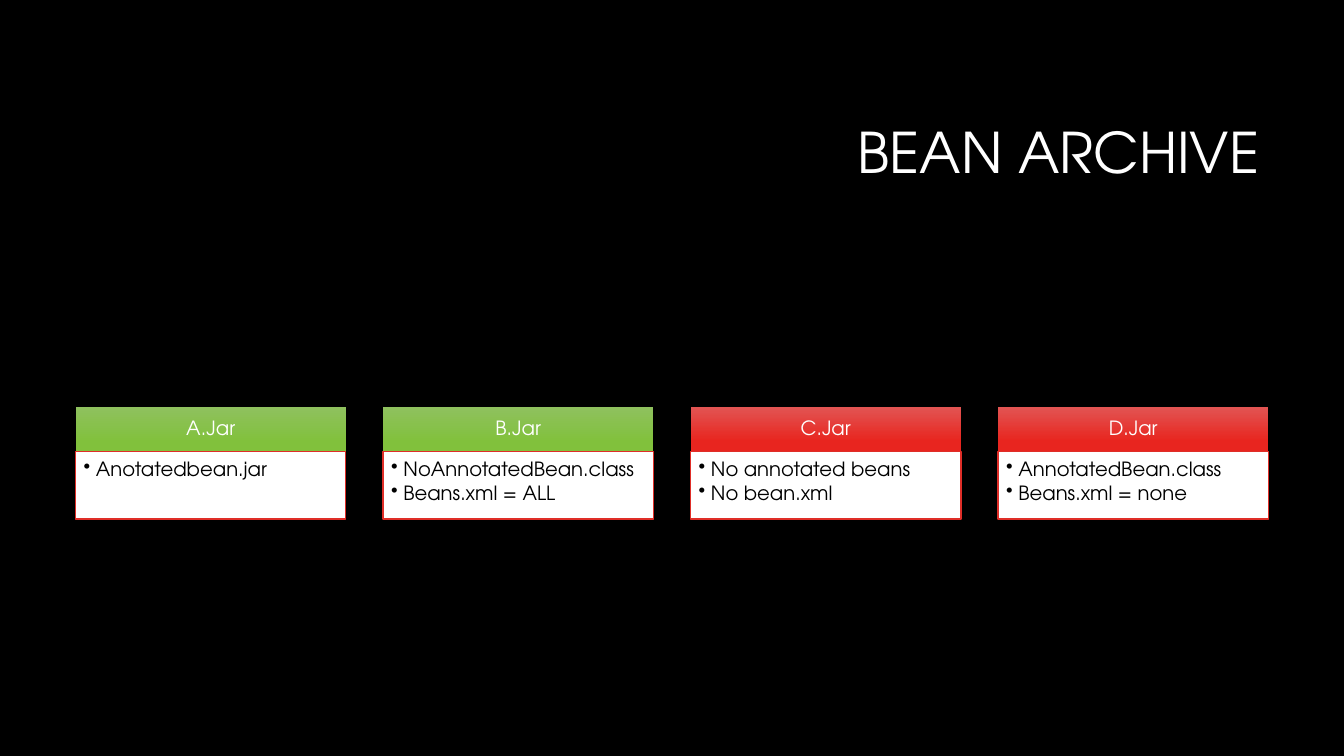
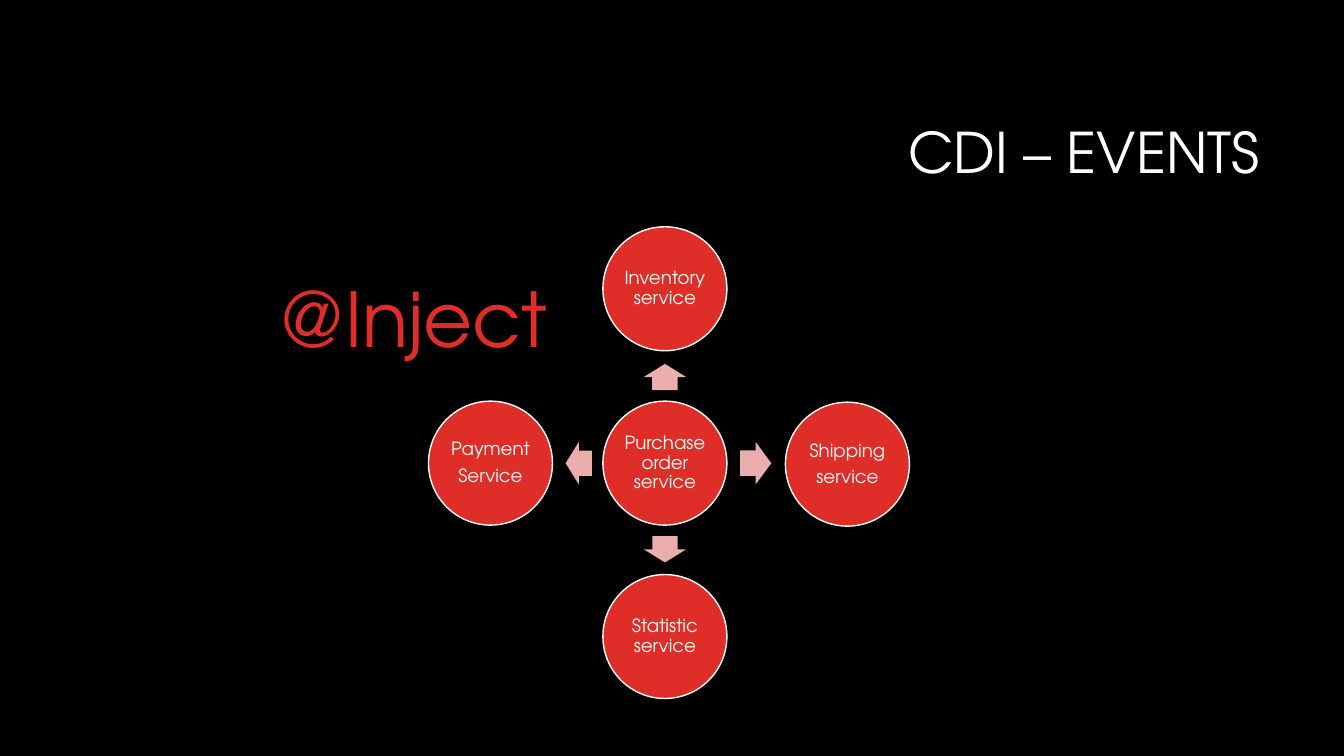
"""Build two slides: the bean archive columns and the CDI events diagram."""
from lxml.etree import SubElement
from pptx import Presentation
from pptx.dml.color import RGBColor
from pptx.enum.shapes import MSO_SHAPE
from pptx.enum.text import MSO_ANCHOR, MSO_AUTO_SIZE, PP_ALIGN
from pptx.oxml.ns import qn
from pptx.util import Inches, Pt

BLACK = RGBColor(0x00, 0x00, 0x00)
WHITE = RGBColor(0xFF, 0xFF, 0xFF)
RED = RGBColor(0xDF, 0x2E, 0x28)
PINK = RGBColor(0xEC, 0xAD, 0xAD)
GREEN_GRADIENT = (RGBColor(0x8F, 0xC1, 0x5E), RGBColor(0x81, 0xC1, 0x3C))
RED_GRADIENT = (RGBColor(0xE2, 0x54, 0x52), RGBColor(0xE8, 0x25, 0x1F))
FONT = "TeX Gyre Adventor"


def write_text(shape, lines, size, color=WHITE, align=PP_ALIGN.CENTER,
               anchor=MSO_ANCHOR.MIDDLE, insets=(0.1, 0.05, 0.1, 0.05),
               line_spacing=0.9, space_after=0, bullet=False, wrap=True):
    frame = shape.text_frame
    frame.text = "\n".join(lines)
    frame.auto_size = MSO_AUTO_SIZE.NONE
    frame.word_wrap = wrap
    frame.vertical_anchor = anchor
    (frame.margin_left, frame.margin_top,
     frame.margin_right, frame.margin_bottom) = map(Inches, insets)
    for paragraph in frame.paragraphs:
        paragraph.alignment = align
        paragraph.line_spacing = line_spacing
        paragraph.space_before = Pt(0)
        paragraph.space_after = Pt(space_after)
        font = paragraph.runs[0].font
        font.name, font.size, font.color.rgb = FONT, Pt(size), color
        if bullet:
            properties = paragraph._p.get_or_add_pPr()
            properties.set("marL", str(Inches(0.12)))
            properties.set("indent", str(Inches(-0.12)))
            SubElement(properties, qn("a:buChar")).set("char", "•")


def add_box(slide, kind, left, top, width, height, fill=None, line=None):
    shape = slide.shapes.add_shape(
        kind, Inches(left), Inches(top), Inches(width), Inches(height))
    shape.shadow.inherit = False
    if fill is not None:
        shape.fill.solid()
        shape.fill.fore_color.rgb = fill
    if line is None:
        shape.line.fill.background()
    else:
        shape.line.color.rgb = line
        shape.line.width = Pt(1)
    return shape


presentation = Presentation()
presentation.slide_width = Inches(13.33)
presentation.slide_height = Inches(7.5)
background = presentation.slide_master.background.fill
background.solid()
background.fore_color.rgb = BLACK

TITLE_RIGHT = 12.59
slides = []
for title_text, title_left in (("BEAN ARCHIVE", 3.17), ("CDI – EVENTS", 1.84)):
    slide = presentation.slides.add_slide(presentation.slide_layouts[5])
    title = slide.shapes.title
    title.left, title.top = Inches(title_left), Inches(0.84)
    title.width, title.height = Inches(TITLE_RIGHT - title_left), Inches(1.41)
    write_text(title, [title_text], 40, align=PP_ALIGN.RIGHT)
    slides.append(slide)
archive_slide, events_slide = slides

ARCHIVES = (
    ("A.Jar", GREEN_GRADIENT, ["Anotatedbean.jar"]),
    ("B.Jar", GREEN_GRADIENT, ["NoAnnotatedBean.class", "Beans.xml = ALL"]),
    ("C.Jar", RED_GRADIENT, ["No annotated beans", "No bean.xml"]),
    ("D.Jar", RED_GRADIENT, ["AnnotatedBean.class", "Beans.xml = none"]),
)
COLUMN_WIDTH, COLUMN_STEP = 2.68, 3.05
for index, (name, gradient, contents) in enumerate(ARCHIVES):
    left = 0.75 + index * COLUMN_STEP
    header = add_box(archive_slide, MSO_SHAPE.RECTANGLE,
                     left, 4.04, COLUMN_WIDTH, 0.44)
    header.fill.gradient()
    header.fill.gradient_angle = 270
    for stop, color, position in zip(header.fill.gradient_stops, gradient, (0, 0.78)):
        stop.color.rgb = color
        stop.position = position
    write_text(header, [name], 14, insets=(0.11, 0.06, 0.11, 0.06))
    body = add_box(archive_slide, MSO_SHAPE.RECTANGLE,
                   left, 4.48, COLUMN_WIDTH, 0.67, WHITE, RED)
    write_text(body, contents, 14, BLACK, PP_ALIGN.LEFT, MSO_ANCHOR.TOP,
               insets=(0.08, 0.08, 0.11, 0.12), space_after=2.1, bullet=True)

CENTER_X, CENTER_Y, DIAMETER, ARROW_HEIGHT = 6.595, 4.595, 1.23, 0.42
SERVICES = (
    (["Purchase order service"], 0, 0),
    (["Inventory service"], 0, -1.73),
    (["Shipping", "service"], 1.81, 0.01),
    (["Statistic service"], 0, 1.72),
    (["Payment", "Service"], -1.73, 0),
)
for lines, offset_x, offset_y in SERVICES:
    circle = add_box(events_slide, MSO_SHAPE.OVAL,
                     CENTER_X + offset_x - DIAMETER / 2,
                     CENTER_Y + offset_y - DIAMETER / 2,
                     DIAMETER, DIAMETER, RED, WHITE)
    write_text(circle, lines, 13, insets=(0.02,) * 4, space_after=4.6)

ARROWS = ((0, -0.855, 0.26, 270), (0.9, 0, 0.31, 0),
          (0, 0.855, 0.26, 90), (-0.855, 0, 0.26, 180))
for offset_x, offset_y, length, rotation in ARROWS:
    arrow = add_box(events_slide, MSO_SHAPE.RIGHT_ARROW,
                    CENTER_X + offset_x - length / 2,
                    CENTER_Y + offset_y - ARROW_HEIGHT / 2,
                    length, ARROW_HEIGHT, PINK)
    arrow.adjustments[0], arrow.adjustments[1] = 0.6, 0.5
    arrow.rotation = rotation

inject_label = events_slide.shapes.add_textbox(
    Inches(2.66), Inches(2.65), Inches(2.88), Inches(1.01))
write_text(inject_label, ["@Inject"], 54, RED, anchor=MSO_ANCHOR.TOP,
           line_spacing=1.0, wrap=False)

presentation.save("out.pptx")
